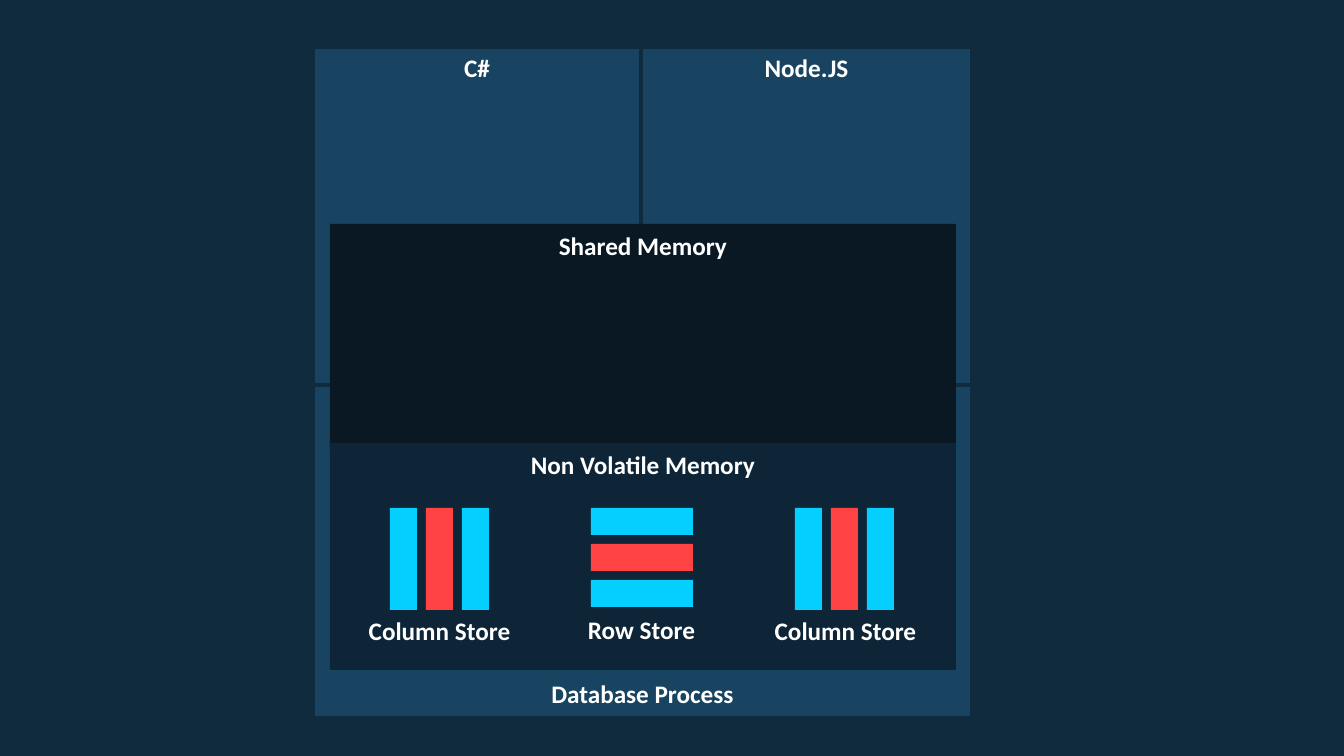
from pptx import Presentation
from pptx.dml.color import RGBColor
from pptx.enum.shapes import MSO_SHAPE
from pptx.enum.text import MSO_ANCHOR, MSO_AUTO_SIZE, PP_ALIGN
from pptx.util import Pt

RECTANGLE = MSO_SHAPE.RECTANGLE
TOP, BOTTOM = MSO_ANCHOR.TOP, MSO_ANCHOR.BOTTOM
FIT_SHAPE = MSO_AUTO_SIZE.SHAPE_TO_FIT_TEXT
CENTER = PP_ALIGN.CENTER

NAVY = RGBColor(0x10, 0x2B, 0x3E)
STEEL = RGBColor(0x19, 0x44, 0x61)
NEAR_BLACK = RGBColor(0x09, 0x18, 0x23)
DEEP_BLUE = RGBColor(0x0D, 0x25, 0x36)
CYAN = RGBColor(0x05, 0xCF, 0xFF)
RED = RGBColor(0xFF, 0x43, 0x43)
WHITE = RGBColor(0xFF, 0xFF, 0xFF)

PX = 914400 / 100.8


def add_block(parent, bounds, fill, outline=None):
    block = parent.shapes.add_shape(RECTANGLE, *[round(v * PX) for v in bounds])
    block.shadow.inherit = False
    block.fill.solid()
    block.fill.fore_color.rgb = fill
    if outline is None:
        block.line.fill.background()
    else:
        block.line.color.rgb = outline
        block.line.width = Pt(3)
    return block


def write_label(holder, words, anchor=TOP, top_inset=5, bottom_inset=5):
    frame = holder.text_frame
    frame.word_wrap = True
    frame.vertical_anchor = anchor
    frame.margin_left = frame.margin_right = round(10 * PX)
    frame.margin_top = round(top_inset * PX)
    frame.margin_bottom = round(bottom_inset * PX)
    paragraph = frame.paragraphs[0]
    paragraph.alignment = CENTER
    run = paragraph.add_run()
    run.text = words
    run.font.name = "Calibri"
    run.font.size = Pt(18)
    run.font.bold = True
    run.font.color.rgb = WHITE


deck = Presentation()
deck.slide_width = round(1344 * PX)
deck.slide_height = round(756 * PX)
slide = deck.slides.add_slide(deck.slide_layouts[6])
slide.background.fill.solid()
slide.background.fill.fore_color.rgb = NAVY

database = add_block(slide, (313, 385, 659, 333), STEEL, NAVY)
write_label(database, "Database Process", BOTTOM, 5, 9)

languages = slide.shapes.add_group_shape()
for language, left, width in [("Node.JS", 641, 331), ("C#", 313, 328)]:
    write_label(add_block(languages, (left, 47, width, 338), STEEL, NAVY), language)

for memory, top, height, fill in [
    ("Shared Memory", 224, 225, NEAR_BLACK),
    ("Non Volatile Memory", 443, 227, DEEP_BLUE),
]:
    write_label(add_block(slide, (330, top, 626, height), fill), memory, TOP, 6, 9)

BAR_TOP, BAR_LENGTH, BAR_THICKNESS, BAR_PITCH = 508, 102, 27, 36
LABEL_WIDTH, LABEL_HEIGHT = 185, 40

for store_name, bar_left, label_left, label_top, upright in [
    ("Column Store", 390, 347, 610, True),
    ("Row Store", 591, 549, 609, False),
    ("Column Store", 795, 753, 610, True),
]:
    store = slide.shapes.add_group_shape()
    for index, colour in enumerate([CYAN, RED, CYAN]):
        offset = index * BAR_PITCH
        if upright:
            bounds = (bar_left + offset, BAR_TOP, BAR_THICKNESS, BAR_LENGTH)
        else:
            bounds = (bar_left, BAR_TOP + offset, BAR_LENGTH, BAR_THICKNESS)
        add_block(store, bounds, colour)
    caption_bounds = (label_left, label_top, LABEL_WIDTH, LABEL_HEIGHT)
    caption = store.shapes.add_textbox(*[round(v * PX) for v in caption_bounds])
    write_label(caption, store_name)
    caption.text_frame.auto_size = FIT_SHAPE

deck.save("out.pptx")
